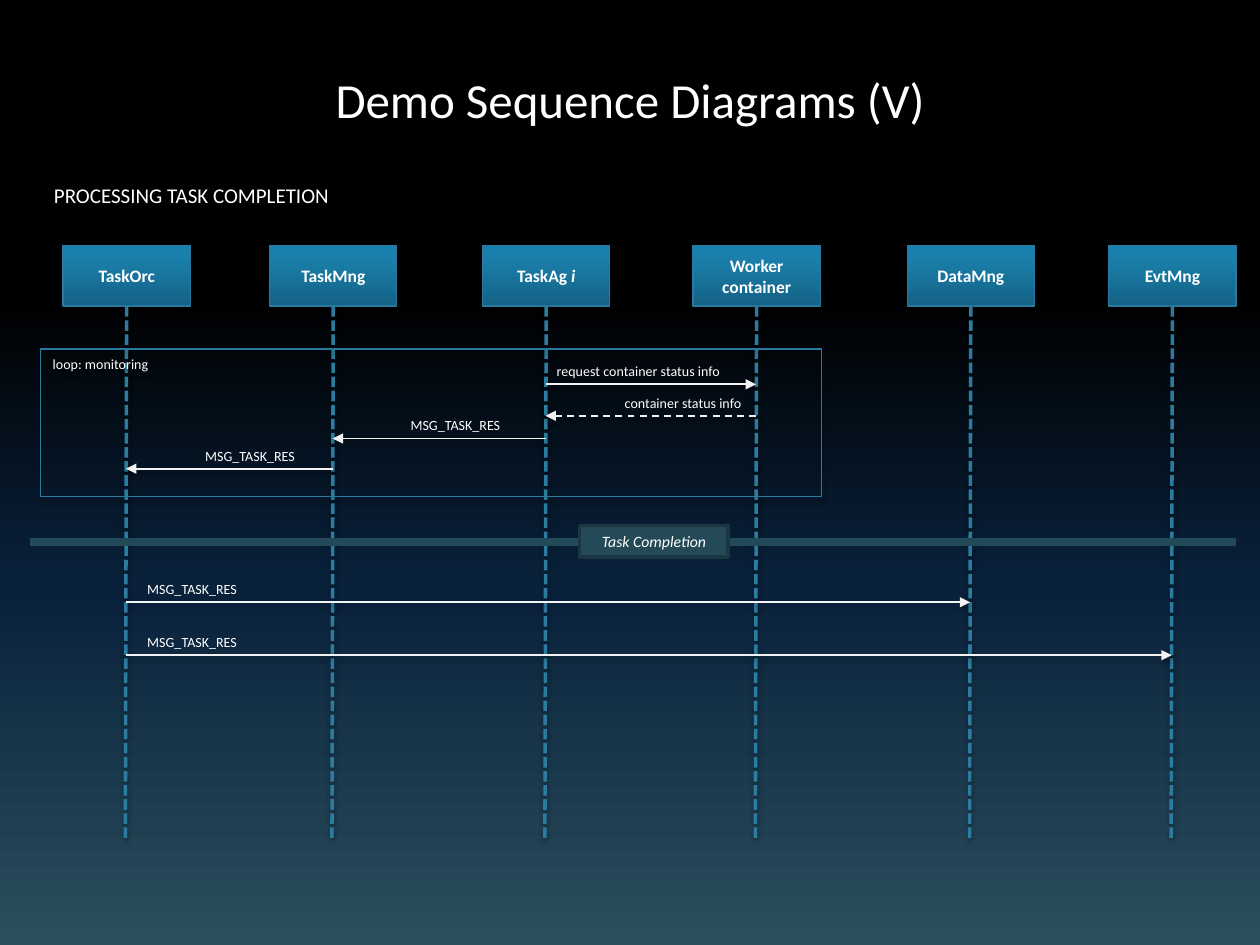
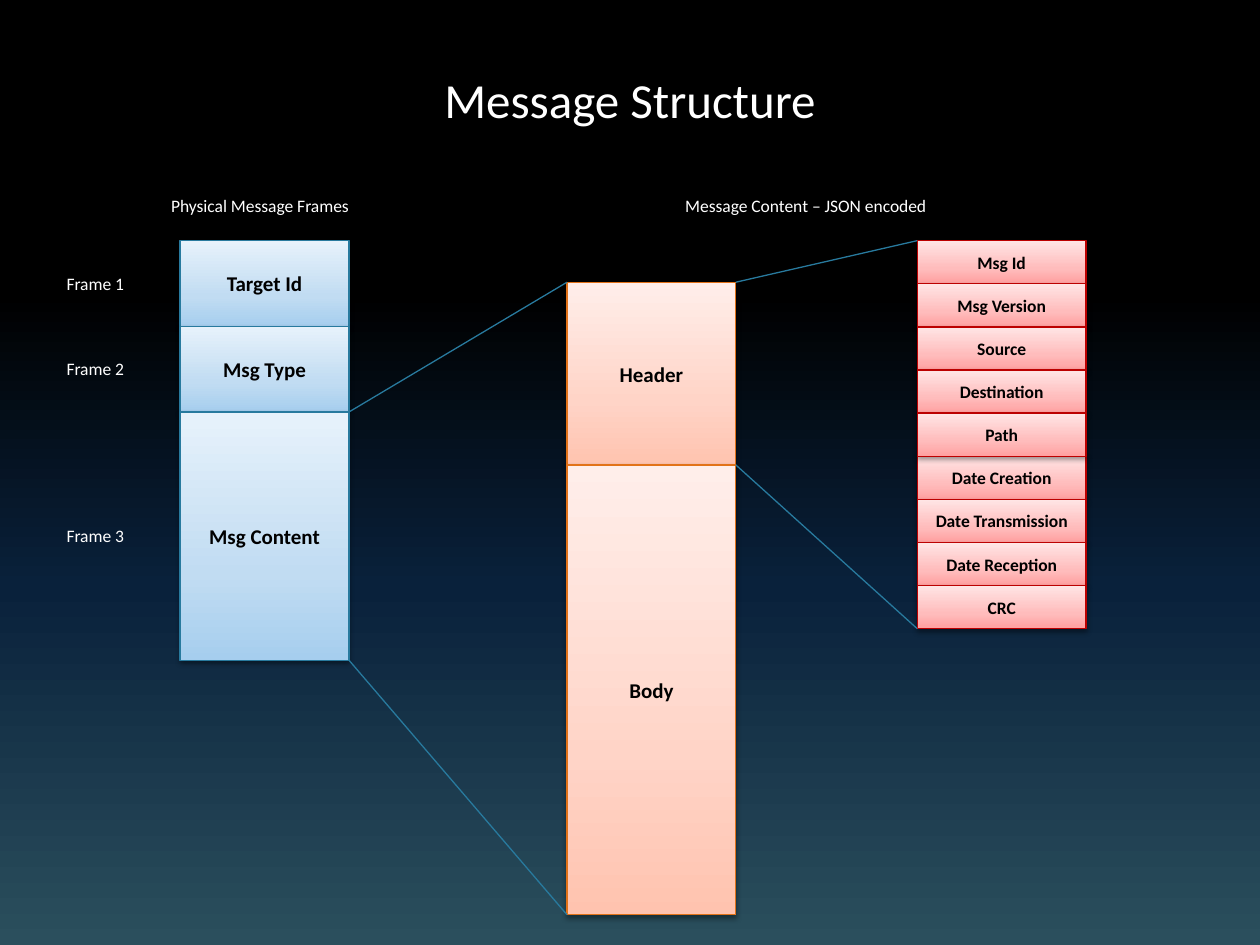
from lxml.etree import SubElement
from pptx import Presentation
from pptx.dml.color import RGBColor
from pptx.enum.dml import MSO_LINE
from pptx.enum.shapes import MSO_CONNECTOR, MSO_SHAPE
from pptx.enum.text import MSO_ANCHOR, MSO_AUTO_SIZE, PP_ALIGN
from pptx.oxml.ns import qn
from pptx.util import Inches, Pt

FONT = "Calibri"

# Colours
WHITE = RGBColor(0xFF, 0xFF, 0xFF)
BLACK = RGBColor(0x00, 0x00, 0x00)
NAVY = RGBColor(0x09, 0x21, 0x3B)
SLATE = RGBColor(0x2B, 0x4F, 0x5D)
BLUE = RGBColor(0x28, 0x7A, 0x9E)
LIFELINE = RGBColor(0x2C, 0x7C, 0x9F)
MESSAGE = RGBColor(0xF2, 0xF2, 0xF2)
BAR = RGBColor(0x22, 0x49, 0x57)
BADGE = RGBColor(0x24, 0x4A, 0x58)
BADGE_EDGE = RGBColor(0x1B, 0x37, 0x41)
ORANGE = RGBColor(0xE2, 0x72, 0x18)
RED = RGBColor(0xBC, 0x00, 0x00)

# Gradients: (percent, colour) stops
BACKGROUND = [(0, BLACK), (31, BLACK), (62, NAVY), (100, SLATE)]
NODE_FILL = [(0, RGBColor(0x14, 0x62, 0x84)), (80, RGBColor(0x1A, 0x7F, 0xAB)),
             (100, RGBColor(0x17, 0x80, 0xAE))]
FRAME_FILL = [(0, RGBColor(0xA6, 0xCE, 0xEE)), (35, RGBColor(0xC1, 0xDC, 0xF2)),
              (100, RGBColor(0xE7, 0xF2, 0xFB))]
CONTENT_FILL = [(0, RGBColor(0xFF, 0xC3, 0xAF)), (35, RGBColor(0xFF, 0xD4, 0xC7)),
                (100, RGBColor(0xFF, 0xEE, 0xEA))]
FIELD_FILL = [(0, RGBColor(0xFF, 0xA0, 0xA0)), (35, RGBColor(0xFF, 0xBC, 0xBC)),
              (100, RGBColor(0xFF, 0xE5, 0xE5))]

# Lifeline boxes
NODES = {"TaskOrc": 0.5, "TaskMng": 2.14, "TaskAg ": 3.83,
         "Worker container": 5.5, "DataMng": 7.2, "EvtMng": 8.8}
NODE_TOP, NODE_W, NODE_H = 1.95, 1.01, 0.48
LIFELINE_END = 6.65

# Message stacks
STACK_TOP, STACK_W = 1.91, 1.34
FRAMES_X, CONTENT_X, FIELDS_X = 1.43, 4.5, 7.28


def set_gradient(fill, element, stops, angle):
    fill.gradient()
    fill.gradient_angle = angle
    gs_lst = element.find(".//" + qn("a:gsLst"))
    gs_lst.clear()
    for percent, color in stops:
        gs = SubElement(gs_lst, qn("a:gs"), pos=str(percent * 1000))
        SubElement(gs, qn("a:srgbClr"), val=str(color))


def set_shadow(sp, alpha=0, distance=1.6):
    """Give the shape a soft shadow below it, or none when alpha is 0."""
    effects = SubElement(sp.element.spPr, qn("a:effectLst"))
    if alpha:
        shadow = SubElement(effects, qn("a:outerShdw"), blurRad=str(Pt(3.1)),
                            dist=str(Pt(distance)), dir="5400000", rotWithShape="0")
        color = SubElement(shadow, qn("a:srgbClr"), val=str(BLACK))
        SubElement(color, qn("a:alpha"), val=str(alpha * 1000))


def format_run(r, size, color, bold=False, italic=False):
    r.font.name = FONT
    r.font.size = Pt(size)
    r.font.color.rgb = color
    r.font.bold = bold
    r.font.italic = italic


def add_box(s, x, y, w, h, text, size, edge, fill=None, color=WHITE, bold=False,
            italic=False, edge_width=0.75, shadow=(38, 1.6)):
    sp = s.shapes.add_shape(MSO_SHAPE.RECTANGLE, Inches(x), Inches(y), Inches(w), Inches(h))
    if fill is None:
        sp.fill.background()
    elif isinstance(fill, RGBColor):
        sp.fill.solid()
        sp.fill.fore_color.rgb = fill
    else:
        set_gradient(sp.fill, sp.element.spPr, fill, 90)
    sp.line.color.rgb = edge
    sp.line.width = Pt(edge_width)
    set_shadow(sp, *shadow)
    tf = sp.text_frame
    tf.word_wrap = True
    tf.vertical_anchor = MSO_ANCHOR.MIDDLE
    p = tf.paragraphs[0]
    p.text = text
    p.alignment = PP_ALIGN.CENTER
    format_run(p.runs[0], size, color, bold, italic)
    return sp


def add_label(s, x, y, w, h, text, size):
    sp = s.shapes.add_textbox(Inches(x), Inches(y), Inches(w), Inches(h))
    tf = sp.text_frame
    tf.word_wrap = False
    tf.auto_size = MSO_AUTO_SIZE.SHAPE_TO_FIT_TEXT
    tf.text = text
    format_run(tf.paragraphs[0].runs[0], size, WHITE)
    return sp


def add_line(s, start, end, color, width, dash=None, arrow=False, shadow=0):
    line = s.shapes.add_connector(MSO_CONNECTOR.STRAIGHT,
                                  *(Inches(v) for v in (*start, *end)))
    line.line.color.rgb = color
    line.line.width = Pt(width)
    if dash:
        line.line.dash_style = dash
    if arrow:
        SubElement(line.element.spPr.find(qn("a:ln")), qn("a:tailEnd"), type="triangle")
    set_shadow(line, shadow)
    return line


def add_slide(prs, title):
    s = prs.slides.add_slide(prs.slide_layouts[6])
    set_gradient(s.background.fill, s.element, BACKGROUND, 270)
    sp = add_label(s, 0.5, 0.5, 9, 1.25, title, 28)
    tf = sp.text_frame
    tf.auto_size = MSO_AUTO_SIZE.NONE
    tf.word_wrap = True
    tf.paragraphs[0].alignment = PP_ALIGN.CENTER
    return s


def add_node(s, name, x):
    """Add a participant box with its lifeline."""
    sp = add_box(s, x, NODE_TOP, NODE_W, NODE_H, name, 10, BLUE, NODE_FILL,
                 bold=True, shadow=(35, 1.8))
    axis = x + NODE_W / 2
    line = add_line(s, (axis, NODE_TOP + NODE_H), (axis - 0.01, LIFELINE_END),
                    LIFELINE, 2, MSO_LINE.SQUARE_DOT, shadow=38)
    line.begin_connect(sp, 2)
    return sp


def add_message(s, sender, receiver, y, text, label_x, label_w=0.99, dash=None):
    start, end = (NODES[name] + 0.5 for name in (sender, receiver))
    add_line(s, (start, y), (end, y), MESSAGE, 1, dash, arrow=True, shadow=38)
    add_label(s, label_x, y - 0.22, label_w, 0.24, text, 8)


def add_stack(s, x, top, rows, size, edge, fill, front=None):
    """Add boxes under each other and return their edges from top to bottom."""
    edges = [top]
    for _, height in rows:
        edges.append(edges[-1] + height)
    placed = [(name, y, height) for (name, height), y in zip(rows, edges)]
    for name, y, height in sorted(placed, key=lambda row: row[0] == front):
        add_box(s, x, y, STACK_W, height, name, size, edge, fill, BLACK, bold=True)
    return edges


def build_sequence(prs):
    s = add_slide(prs, "Demo Sequence Diagrams (V)")
    add_label(s, 0.33, 1.4, 2.62, 0.3, "PROCESSING TASK COMPLETION", 12)

    # Participants
    nodes = {name: add_node(s, name, x) for name, x in NODES.items()}
    index = nodes["TaskAg "].text_frame.paragraphs[0].add_run()
    index.text = "i"
    format_run(index, 10, WHITE, bold=True, italic=True)

    # Monitoring loop
    loop = add_box(s, 0.32, 2.77, 6.2, 1.17, "loop: monitoring", 8, BLUE, shadow=(35, 1.8))
    loop.text_frame.vertical_anchor = MSO_ANCHOR.TOP
    loop.text_frame.paragraphs[0].alignment = PP_ALIGN.LEFT
    add_message(s, "TaskAg ", "Worker container", 3.05,
                "request container status info", 4.32, 1.54)
    add_message(s, "Worker container", "TaskAg ", 3.3,
                "container status info", 4.86, 1.15, MSO_LINE.DASH)
    add_message(s, "TaskAg ", "TaskMng", 3.48, "MSG_TASK_RES", 3.16)
    add_message(s, "TaskMng", "TaskOrc", 3.72, "MSG_TASK_RES", 1.53)

    # Completion
    add_line(s, (0.24, 4.3), (9.81, 4.3), BAR, 4.5)
    add_box(s, 4.6, 4.17, 1.18, 0.25, "Task Completion", 9, BADGE_EDGE, BADGE,
            italic=True, edge_width=2, shadow=())
    for receiver, y in (("DataMng", 4.78), ("EvtMng", 5.2)):
        add_message(s, "TaskOrc", receiver, y, "MSG_TASK_RES", 1.07)


def build_structure(prs):
    s = add_slide(prs, "Message Structure")

    # Physical frames
    add_label(s, 1.26, 1.5, 1.67, 0.27, "Physical Message Frames", 10)
    frames = add_stack(s, FRAMES_X, STACK_TOP,
                       [("Target Id", 0.68), ("Msg Type", 0.68), ("Msg Content", 1.97)],
                       12, BLUE, FRAME_FILL)
    for number, (top, bottom) in enumerate(zip(frames, frames[1:]), 1):
        add_label(s, 0.43, (top + bottom - 0.27) / 2, 0.66, 0.27, f"Frame {number}", 10)

    # Message content and header fields
    add_label(s, 5.34, 1.5, 2.2, 0.27, "Message Content – JSON encoded", 10)
    content = add_stack(s, CONTENT_X, 2.24, [("Header", 1.45), ("Body", 3.57)],
                        12, ORANGE, CONTENT_FILL)
    names = ["Msg Id", "Msg Version", "Source", "Destination", "Path", "Date Creation",
             "Date Transmission", "Date Reception", "CRC"]
    row_height = 3.08 / len(names)
    fields = add_stack(s, FIELDS_X, STACK_TOP, [(name, row_height) for name in names],
                       10, RED, FIELD_FILL, front="Path")

    # Expansion lines between stacks
    for left, y1, right, y2 in (
            (FRAMES_X, frames[2], CONTENT_X, content[0]),
            (FRAMES_X, frames[3], CONTENT_X, content[2]),
            (CONTENT_X, content[0], FIELDS_X, fields[0]),
            (CONTENT_X, content[1], FIELDS_X, fields[-1])):
        add_line(s, (left + STACK_W, y1), (right, y2), BLUE, 0.75)


def main():
    prs = Presentation()
    prs.slide_width = Inches(10)
    prs.slide_height = Inches(7.5)
    build_sequence(prs)
    build_structure(prs)
    prs.save("out.pptx")


if __name__ == "__main__":
    main()
